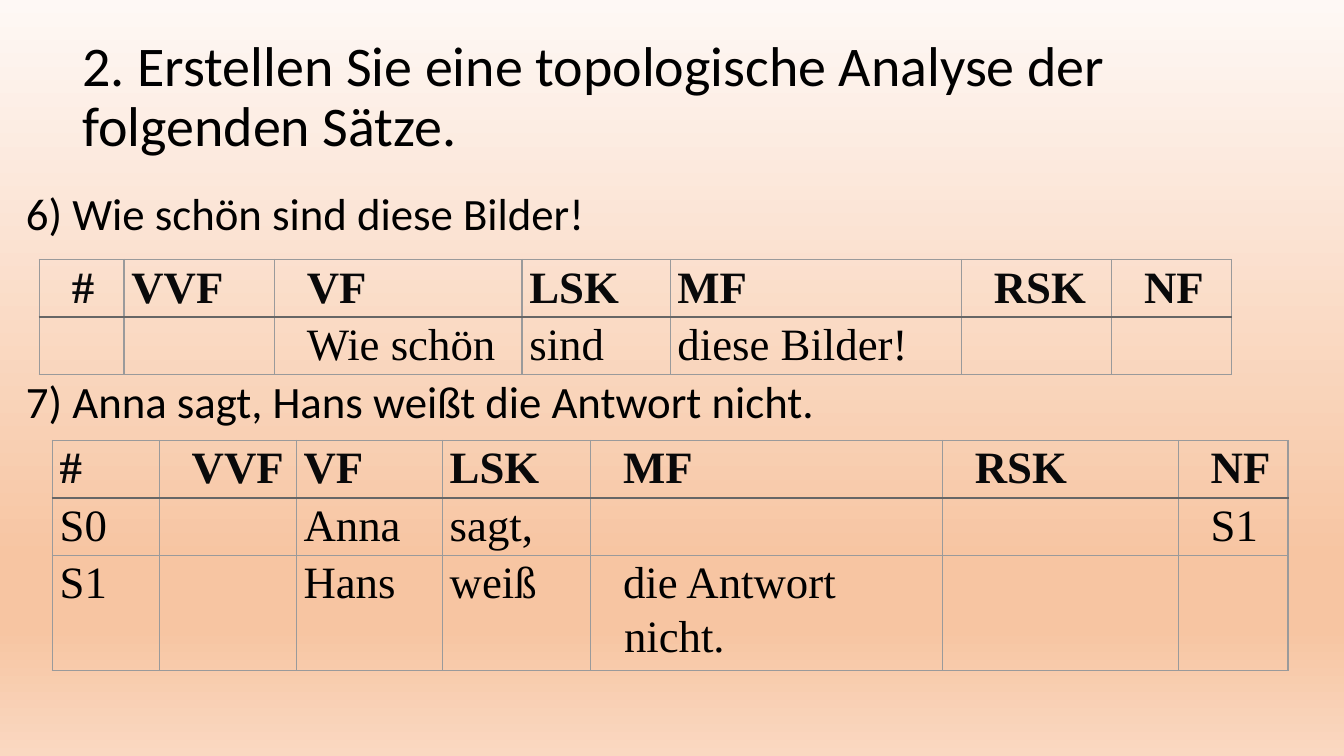
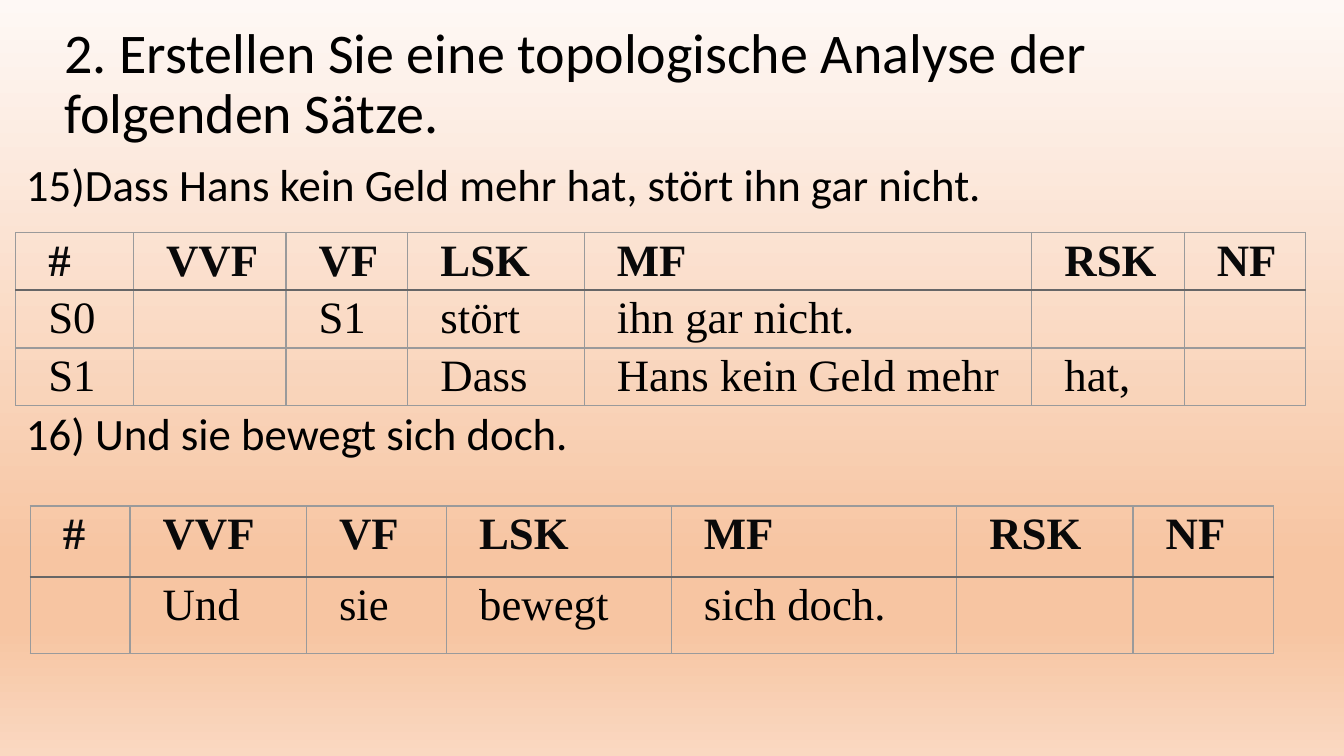
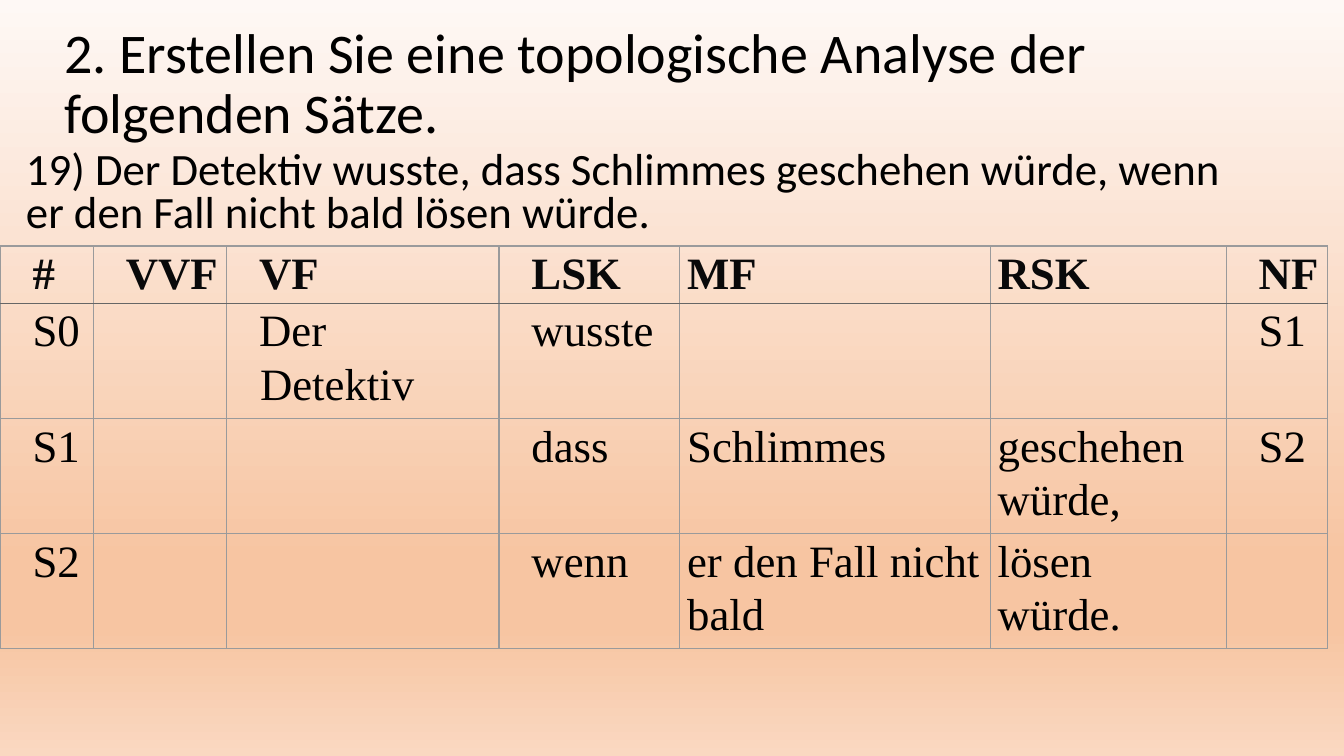
from copy import deepcopy

from lxml.etree import SubElement
from pptx import Presentation
from pptx.dml.color import RGBColor
from pptx.enum.text import MSO_ANCHOR as Anchor
from pptx.oxml.ns import qn
from pptx.util import Pt

SLIDE_SIZE = 960, 540
GRADIENT = [(0, "FEF8F5"), (0.74, "F7C5A2"), (0.83, "F7C5A2"), (1, "FAD8C1")]
BLACK, HEADER_TEXT = "000000", "09090A"
GRID, HEADER_RULE = ("9A9A9B", 1), ("666666", 1.5)
SANS, SERIF = "Calibri", "Times New Roman"
TITLE = "2. Erstellen Sie eine topologische Analyse der folgenden Sätze."
TITLE_SIZE = 828, 104.4
FIELDS = ["#", "VVF", "VF", "LSK", "MF", "RSK", "NF"]
CELL_INDENT, HANGING = 18.7, 0.7

SLIDES = [
    {
        "title_at": (51.8, 18),
        "body": (11.5, 133.2, 882.7, 353.5),
        "sentences": ["6) Wie schön sind diese Bilder!",
                      "7) Anna sagt, Hans weißt die Antwort nicht."],
        "gap": 100,
        "tables": [
            {"at": (28.1, 185.4),
             "widths": [60.5, 107.3, 177, 105.8, 208, 107.3, 85.7],
             "heights": [38, 38],
             "indented": ["#", "VF", "RSK", "NF"],
             "rows": [["", "", "Wie schön", "sind", "diese Bilder!", "", ""]]},
            {"at": (37.4, 314.6),
             "widths": [76.3, 97.9, 104.4, 105.8, 251.3, 168.5, 78.5],
             "heights": [38, 38, 76.3],
             "indented": ["VVF", "MF", "RSK", "NF"],
             "rows": [["S0", "", "Anna", "sagt,", "", "", "S1"],
                      ["S1", "", "Hans", "weiß", "die Antwort nicht.", "", ""]]},
        ],
    },
    {
        "title_at": (38.9, 8.6),
        "body": (11.5, 113, 882.7, 373.7),
        "sentences": ["15)Dass Hans kein Geld mehr hat, stört ihn gar nicht.",
                      "16) Und sie bewegt sich doch."],
        "gap": 143,
        "tables": [
            {"at": (11.2, 166.3),
             "widths": [84.2, 108.9, 87.1, 126, 319.7, 108.9, 86.4],
             "heights": [38, 38, 38],
             "indented": FIELDS,
             "rows": [["S0", "", "S1", "stört", "ihn gar nicht.", "", ""],
                      ["S1", "", "", "Dass", "Hans kein Geld mehr", "hat,", ""]]},
            {"at": (21.6, 361.4),
             "widths": [71.3, 126, 100.1, 160.6, 203.8, 126, 100.1],
             "heights": [51, 54.7],
             "indented": FIELDS,
             "rows": [["", "Und", "sie", "bewegt", "sich doch.", "", ""]]},
        ],
    },
    {
        "title_at": (38.9, 8.6),
        "body": (11.5, 104.4, 882.7, 382.3),
        "sentences": ["19) Der Detektiv wusste, dass Schlimmes geschehen würde, "
                      "wenn er den Fall nicht bald lösen würde."],
        "line_spacing": 0.8,
        "tables": [
            {"at": (0, 175.7),
             "widths": [66.6, 95.2, 194.6, 129.2, 221.8, 168.5, 72.4],
             "heights": [38, 76.1, 76.1, 76.1],
             "indented": ["#", "VVF", "VF", "LSK", "NF"],
             "rows": [["S0", "", "Der Detektiv", "wusste", "", "", "S1"],
                      ["S1", "", "", "dass", "Schlimmes", "geschehen würde,", "S2"],
                      ["S2", "", "", "wenn", "er den Fall nicht bald",
                       "lösen würde.", ""]]},
        ],
    },
]


def color(hex_text):
    return RGBColor.from_string(hex_text)


def write_text(paragraph, text, *, size=32, font=SANS, fill=BLACK, bold=False,
               line_spacing=0.9, before=0, after=0):
    paragraph.line_spacing = line_spacing
    paragraph.space_before, paragraph.space_after = Pt(before), Pt(after)
    run = paragraph.add_run()
    run.text = text
    run.font.size, run.font.name, run.font.bold = Pt(size), font, bold
    run.font.color.rgb = color(fill)


def set_background(master):
    fill = master.background.fill
    fill.gradient()
    fill.gradient_angle = 270
    stop_list = master.element.find(".//" + qn("a:gsLst"))
    for _ in GRADIENT[2:]:
        stop_list.append(deepcopy(stop_list[0]))
    for stop, (position, hex_text) in zip(fill.gradient_stops, GRADIENT):
        stop.position = position
        stop.color.rgb = color(hex_text)


def add_text_frame(slide, box, anchor=Anchor.TOP):
    frame = slide.shapes.add_textbox(*map(Pt, box)).text_frame
    frame.word_wrap = True
    frame.vertical_anchor = anchor
    return frame


def add_title(slide, position):
    frame = add_text_frame(slide, (*position, *TITLE_SIZE), Anchor.MIDDLE)
    write_text(frame.paragraphs[0], TITLE, size=40)


def add_sentences(slide, box, sentences, gap, line_spacing):
    """Stack the sentences, with a gap that leaves room for a table between them."""
    frame = add_text_frame(slide, box)
    for index, sentence in enumerate(sentences):
        paragraph = frame.add_paragraph() if index else frame.paragraphs[0]
        write_text(paragraph, sentence, line_spacing=line_spacing,
                   before=gap if index else 0)


def set_borders(cell, **sides):
    properties = cell._tc.get_or_add_tcPr()
    for side in "LRTB":
        hex_text, width = sides.get(side, GRID)
        line = SubElement(properties, qn(f"a:ln{side}"), w=str(Pt(width)))
        SubElement(SubElement(line, qn("a:solidFill")), qn("a:srgbClr"), val=hex_text)


def format_cell(cell, text, is_header, is_indented):
    cell.margin_left, cell.margin_right = Pt(5.3), Pt(5.75)
    cell.margin_top = cell.margin_bottom = Pt(0)
    cell.fill.background()
    if not text:
        return
    paragraph = cell.text_frame.paragraphs[0]
    write_text(paragraph, text, font=SERIF, bold=is_header, line_spacing=1.07,
               fill=HEADER_TEXT if is_header else BLACK, after=0.2)
    properties = paragraph._p.get_or_add_pPr()
    properties.set("marL", str(Pt(CELL_INDENT if is_indented else 0)))
    properties.set("indent", str(Pt(-HANGING)))


def add_field_table(slide, at, widths, heights, indented, rows):
    """Draw the sentence fields as a grid with a dark rule under its header."""
    table = slide.shapes.add_table(len(heights), len(widths), *map(Pt, at),
                                   Pt(sum(widths)), Pt(sum(heights))).table
    table.first_row = table.horz_banding = False
    for column, width in zip(table.columns, widths):
        column.width = Pt(width)
    for row, height in zip(table.rows, heights):
        row.height = Pt(height)
    rule_sides = {0: {"B": HEADER_RULE}, 1: {"T": HEADER_RULE}}
    for row_index, texts in enumerate([FIELDS, *rows]):
        for column_index, (field, text) in enumerate(zip(FIELDS, texts)):
            cell = table.cell(row_index, column_index)
            set_borders(cell, **rule_sides.get(row_index, {}))
            format_cell(cell, text, row_index == 0, field in indented)


def add_analysis_slide(presentation, content):
    slide = presentation.slides.add_slide(presentation.slide_layouts[6])
    add_title(slide, content["title_at"])
    add_sentences(slide, content["body"], content["sentences"],
                  content.get("gap", 0), content.get("line_spacing", 0.9))
    for table in content["tables"]:
        add_field_table(slide, **table)


def main():
    presentation = Presentation()
    presentation.slide_width, presentation.slide_height = map(Pt, SLIDE_SIZE)
    set_background(presentation.slide_master)
    for content in SLIDES:
        add_analysis_slide(presentation, content)
    presentation.save("out.pptx")


if __name__ == "__main__":
    main()
